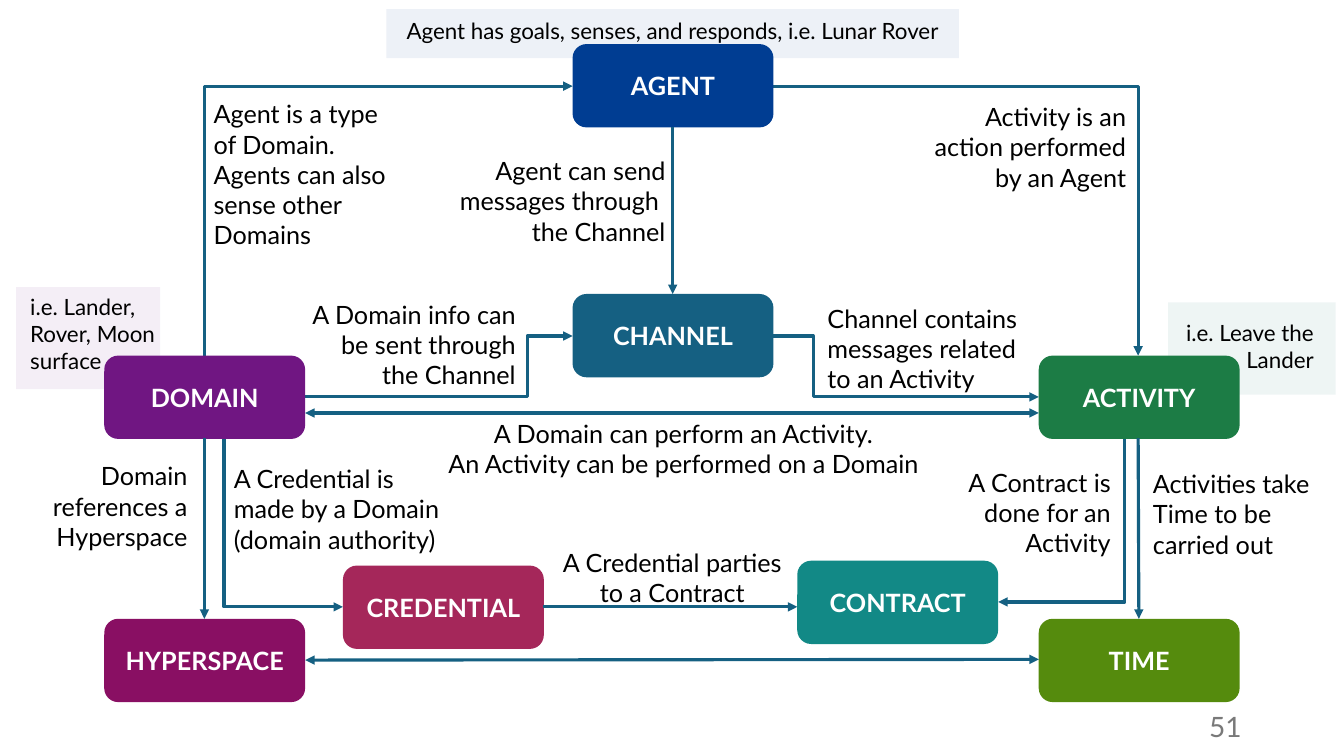
from dataclasses import dataclass

from lxml.etree import SubElement
from pptx import Presentation
from pptx.dml.color import RGBColor
from pptx.enum.shapes import MSO_CONNECTOR, MSO_SHAPE
from pptx.enum.text import MSO_ANCHOR, MSO_AUTO_SIZE, PP_ALIGN
from pptx.oxml.ns import qn
from pptx.shapes.autoshape import Shape
from pptx.slide import Slide
from pptx.util import Pt

LEFT, CENTER, RIGHT = PP_ALIGN.LEFT, PP_ALIGN.CENTER, PP_ALIGN.RIGHT


@dataclass(frozen=True)
class Theme:
    font: str = "Lato"
    label: float = 18
    example: float = 16
    number: float = 20
    black: str = "000000"
    white: str = "FFFFFF"
    grey: str = "797979"
    link: str = "156082"
    channel: str = "156082"
    agent: str = "003D92"
    domain: str = "701682"
    activity: str = "1C7C45"
    activity_tint: str = "1B7D6A"
    hyperspace: str = "890F63"
    credential: str = "A5275A"
    contract: str = "128986"
    time: str = "558B0D"
    link_width: float = 2.25
    tint_alpha: int = 7


T = Theme()
NODE_W, NODE_H = 143.5, 59.5
COL_L, COL_M, COL_R = 74.5, 409, 742
DOMAIN_X, ACTIVITY_X = 146, 813
DOMAIN_R, MIDDLE_R = COL_L + NODE_W, COL_M + NODE_W
MIDDLE_Y, LOW_Y = 254, 442
AGENT_Y, CHANNEL_Y = 61.5, 240


@dataclass(frozen=True)
class Tint:
    x: float
    y: float
    w: float
    h: float
    color: str


@dataclass(frozen=True)
class Node:
    name: str
    x: float
    y: float
    color: str


@dataclass(frozen=True)
class Label:
    x: float
    y: float
    w: float
    h: float
    lines: tuple[str, ...]
    align: PP_ALIGN = LEFT
    size: float = T.label


@dataclass(frozen=True)
class Link:
    x1: float
    y1: float
    x2: float
    y2: float
    ends: tuple[str, ...] = ("tailEnd",)
    corner: bool = False
    bend: float = 0


BOTH = ("headEnd", "tailEnd")
BACK = ("headEnd",)

TINTS = [
    Tint(11.5, 205, 103, 73, T.domain),
    Tint(834.5, 216, 119.5, 66, T.activity_tint),
    Tint(276, 6.5, 409, 35, T.agent),
]
NODES = [
    Node("ACTIVITY", COL_R, MIDDLE_Y, T.activity),
    Node("CHANNEL", COL_M, 210, T.channel),
    Node("AGENT", COL_M, 31.5, T.agent),
    Node("DOMAIN", COL_L, MIDDLE_Y, T.domain),
    Node("TIME", COL_R, LOW_Y, T.time),
    Node("CONTRACT", 569.5, 400.5, T.contract),
    Node("HYPERSPACE", COL_L, LOW_Y, T.hyperspace),
    Node("CREDENTIAL", 245, 404, T.credential),
]
LABELS = [
    Label(145.5, 67, 150, 94.5, ("Agent is a type of Domain. Agents can also sense other Domains",)),
    Label(255.5, 8.5, 450, 26.5, ("Agent has goals, senses, and responds, i.e. Lunar Rover",), CENTER, T.example),
    Label(659.5, 69, 152, 72.5, ("Activity is an action performed by an Agent",), RIGHT),
    Label(826, 224.5, 119.5, 46, ("i.e. Leave the Lander",), RIGHT, T.example),
    Label(319.5, 107.5, 163, 72.5, ("Agent can send messages through ", "the Channel"), RIGHT),
    Label(584, 213, 166, 72.5, ("Channel contains messages related to an Activity",)),
    Label(310.5, 295, 360, 51, ("A Domain can perform an Activity. ", "An Activity can be performed on a Domain "), CENTER),
    Label(14.5, 206, 121.5, 65.5, ("i.e. Lander, Rover, Moon surface",), LEFT, T.example),
    Label(212.5, 210, 163, 72.5, ("A Domain info can be sent through the Channel",), RIGHT),
    Label(816.5, 331, 145.5, 72.5, ("Activities take Time to be carried out",)),
    Label(655, 330, 145.5, 72.5, ("A Contract is done for an Activity",), RIGHT),
    Label(160, 327.5, 165.5, 72.5, ("A Credential is made by a Domain (domain authority)",)),
    Label(394.5, 387.5, 171.5, 51, ("A Credential parties to a Contract",), CENTER),
    Label(6.5, 325.5, 134.5, 72.5, ("Domain references a Hyperspace",), RIGHT),
]
BENT_LINKS = [
    Link(713, 430, 803.5, 307, BACK, corner=True),
    Link(245, 433.5, 160, 310, BACK, corner=True),
    Link(COL_M, AGENT_Y, DOMAIN_X, MIDDLE_Y, BACK, corner=True),
    Link(MIDDLE_R, AGENT_Y, ACTIVITY_X, MIDDLE_Y, corner=True),
    Link(MIDDLE_R, CHANNEL_Y, COL_R, 283.5, bend=0.15),
    Link(DOMAIN_R, 283.5, COL_M, CHANNEL_Y, bend=0.83),
]
STRAIGHT_LINKS = [
    Link(DOMAIN_R, 471.5, COL_R, 471, BOTH),
    Link(DOMAIN_X, 313, DOMAIN_X, LOW_Y),
    Link(388, 433.5, 569.5, 433.5),
    Link(DOMAIN_R, 295, COL_R, 295, BOTH),
    Link(ACTIVITY_X, 313, ACTIVITY_X + 0.5, LOW_Y),
    Link(480.5, 91, 480.5, 210),
]


def add_text(sp: Shape, lines: tuple[str, ...], align: PP_ALIGN,
             size: float, color: str, bold: bool = False) -> None:
    tf = sp.text_frame
    tf.word_wrap = True
    for i, line in enumerate(lines):
        p = tf.add_paragraph() if i else tf.paragraphs[0]
        p.alignment = align
        r = p.add_run()
        r.text = line
        r.font.name = T.font
        r.font.size = Pt(size)
        r.font.bold = bold
        r.font.color.rgb = RGBColor.from_string(color)


def add_block(s: Slide, kind: MSO_SHAPE, x: float, y: float, w: float, h: float, color: str) -> Shape:
    sp = s.shapes.add_shape(kind, Pt(x), Pt(y), Pt(w), Pt(h))
    sp.shadow.inherit = False
    sp.fill.solid()
    sp.fill.fore_color.rgb = RGBColor.from_string(color)
    sp.line.fill.background()
    return sp


def add_tint(s: Slide, tint: Tint) -> None:
    sp = add_block(s, MSO_SHAPE.RECTANGLE, tint.x, tint.y, tint.w, tint.h, tint.color)
    clr = sp.fill._xPr.find(qn("a:solidFill"))[0]
    SubElement(clr, qn("a:alpha"), val=str(T.tint_alpha * 1000))


def add_node(s: Slide, node: Node) -> None:
    sp = add_block(s, MSO_SHAPE.ROUNDED_RECTANGLE, node.x, node.y, NODE_W, NODE_H, node.color)
    sp.text_frame.vertical_anchor = MSO_ANCHOR.MIDDLE
    add_text(sp, (node.name,), CENTER, T.label, T.white, bold=True)


def add_label(s: Slide, label: Label) -> None:
    sp = s.shapes.add_textbox(Pt(label.x), Pt(label.y), Pt(label.w), Pt(label.h))
    sp.text_frame.auto_size = MSO_AUTO_SIZE.SHAPE_TO_FIT_TEXT
    add_text(sp, label.lines, label.align, label.size, T.black)


def add_link(s: Slide, link: Link) -> None:
    bent = link.corner or link.bend
    kind = MSO_CONNECTOR.ELBOW if bent else MSO_CONNECTOR.STRAIGHT
    sp = s.shapes.add_connector(kind, Pt(link.x1), Pt(link.y1), Pt(link.x2), Pt(link.y2))
    sp.line.width = Pt(T.link_width)
    sp.line.color.rgb = RGBColor.from_string(T.link)
    spPr = sp._element.spPr
    geom = spPr.find(qn("a:prstGeom"))
    if link.corner:
        geom.set("prst", "bentConnector2")
    if link.bend:
        SubElement(geom.find(qn("a:avLst")), qn("a:gd"), name="adj1",
                   fmla=f"val {round(link.bend * 100000)}")
    for end in link.ends:
        SubElement(spPr.find(qn("a:ln")), qn(f"a:{end}"), type="triangle")
    SubElement(spPr, qn("a:effectLst"))


def add_number(s: Slide, number: str) -> None:
    sp = s.shapes.add_textbox(Pt(678), Pt(504), Pt(216), Pt(29))
    sp.text_frame.vertical_anchor = MSO_ANCHOR.MIDDLE
    add_text(sp, (number,), RIGHT, T.number, T.grey)


def main() -> None:
    prs = Presentation()
    prs.slide_width, prs.slide_height = Pt(960), Pt(540)
    s = prs.slides.add_slide(prs.slide_layouts[6])
    for draw, items in ((add_tint, TINTS), (add_link, BENT_LINKS), (add_node, NODES),
                        (add_label, LABELS), (add_link, STRAIGHT_LINKS)):
        for item in items:
            draw(s, item)
    add_number(s, "51")
    prs.save("out.pptx")


if __name__ == "__main__":
    main()
